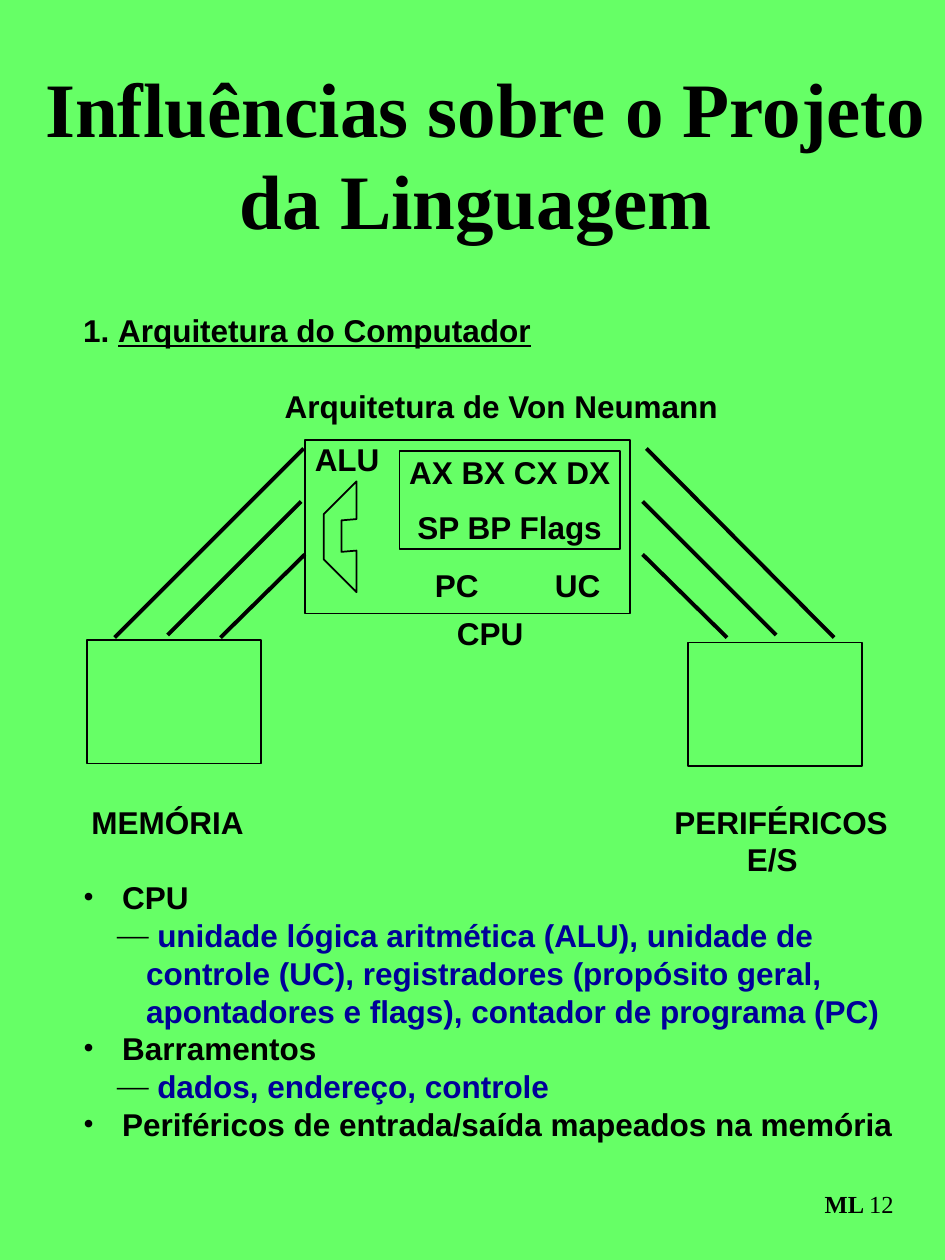
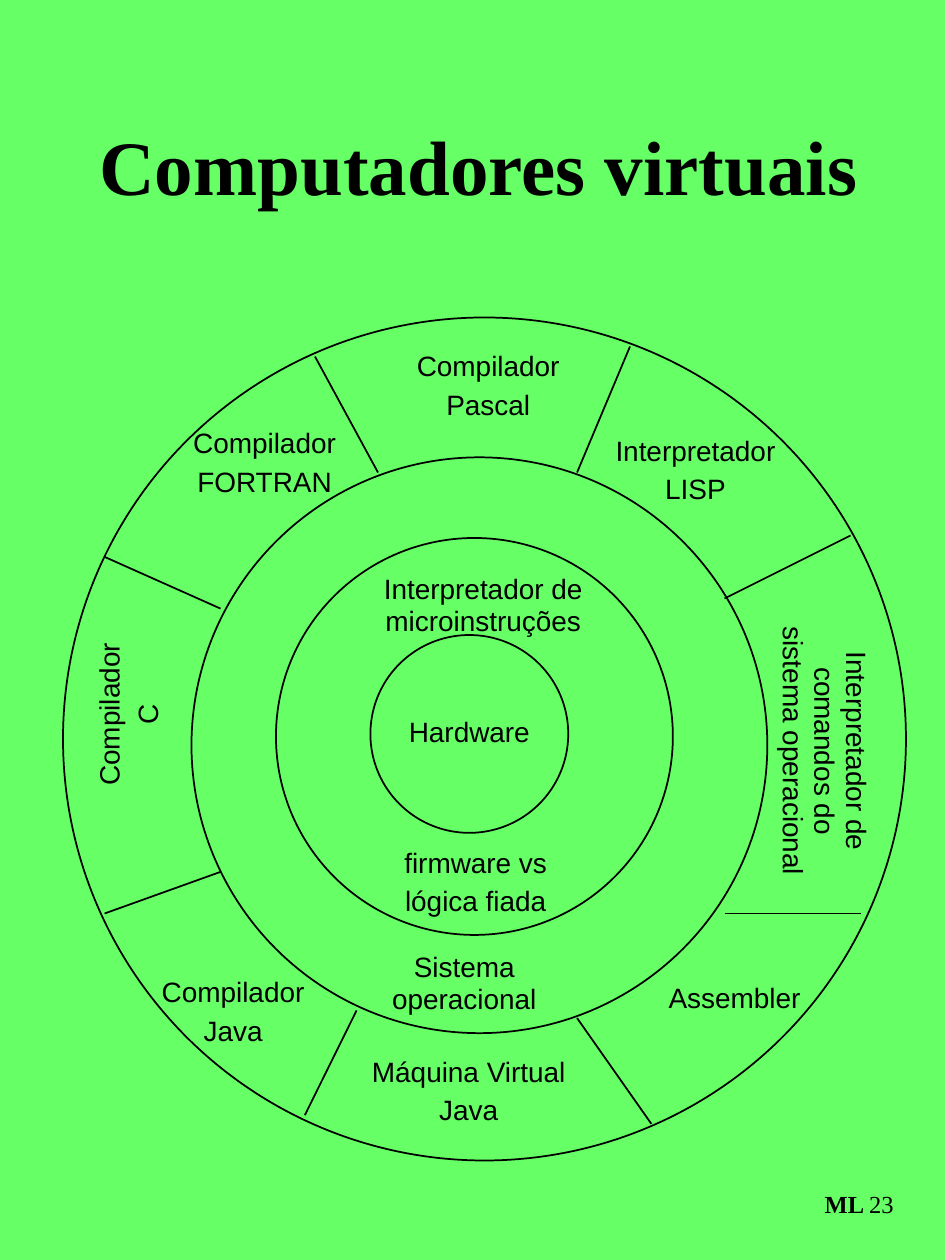
import pptx
import pptx.util
import pptx.dml.color
import pptx.enum.shapes
import pptx.enum.text
import pptx.oxml
import pptx.oxml.ns

Inches = pptx.util.Inches
Pt = pptx.util.Pt
ALIGN = pptx.enum.text.PP_ALIGN
ANCHOR = pptx.enum.text.MSO_ANCHOR
SHAPES = pptx.enum.shapes.MSO_SHAPE

COLOURS = {"background": "66FF66", "ink": "000000", "detail": "000099"}
SANS, SERIF = "Arial", "Times New Roman"
BODY_TOP, BODY_LINE = 2.45, 0.3

BUSES = [
    ((2.42, 4.4), (1.75, 5.06)), ((2.39, 3.98), (1.33, 5.04)),
    ((2.41, 3.56), (0.91, 5.06)), ((5.1, 4.4), (5.77, 5.06)),
    ((5.1, 3.98), (6.16, 5.04)), ((5.13, 3.56), (6.62, 5.06)),
]
ALU_OUTLINE = [
    (2.57, 4.08), (2.83, 3.82), (2.83, 4.12), (2.71, 4.13),
    (2.71, 4.38), (2.83, 4.37), (2.83, 4.7), (2.57, 4.44),
]
TOPICS = [
    (0, "CPU"),
    (1, "unidade lógica aritmética (ALU), unidade de controle (UC), "
        "registradores (propósito geral, apontadores e flags), "
        "contador de programa (PC)"),
    (0, "Barramentos"),
    (1, "dados, endereço, controle"),
    (0, "Periféricos de entrada/saída mapeados na memória"),
]
RINGS = [(0.5, 2.52, 6.69), (1.52, 3.63, 4.57), (2.19, 4.27, 3.15), (2.94, 5.04, 1.57)]
SPOKES = [
    ((5, 2.75), (4.58, 3.75)), ((2.5, 2.83), (3, 3.75)),
    ((0.83, 4.42), (1.75, 4.83)), ((0.83, 7.25), (1.75, 6.92)),
    ((5.75, 4.75), (6.75, 4.25)), ((5.75, 7.25), (6.83, 7.25)),
    ((2.83, 8.02), (2.42, 8.85)), ((4.58, 8.08), (5.17, 8.92)),
]
LAYER_LABELS = [
    ((3.1, 5.69, 1.25, 0.24), ["Hardware"], 0),
    ((2.96, 4.56, 1.75, 0.48), ["Interpretador de microinstruções"], 0),
    ((2.9, 6.73, 1.75, 0.54), ["firmware vs", "lógica fiada"], 0),
    ((2.81, 7.56, 1.75, 0.48), ["Sistema operacional"], 0),
    ((3.25, 2.79, 1.25, 0.54), ["Compilador", "Pascal"], 0),
    ((4.77, 3.46, 1.5, 0.54), ["Interpretador", "LISP"], 0),
    ((1.35, 3.4, 1.5, 0.54), ["Compilador", "FORTRAN"], 0),
    ((0.27, 5.4, 1.5, 0.54), ["Compilador", "C"], 270),
    ((5.51, 5.6, 2.09, 0.72), ["Interpretador de comandos do sistema operacional"], 90),
    ((5.08, 7.8, 1.5, 0.24), ["Assembler"], 0),
    ((1.1, 7.76, 1.5, 0.54), ["Compilador", "Java"], 0),
    ((2.86, 8.39, 1.72, 0.54), ["Máquina Virtual", "Java"], 0),
]


def rgb(name):
    return pptx.dml.color.RGBColor.from_string(COLOURS[name])


def inches(values):
    return [Inches(value) for value in values]


def add_run(paragraph, text, size, font=SANS, bold=True, colour="ink", underline=None):
    run = paragraph.add_run()
    run.text = text
    run.font.name = font
    run.font.size = Pt(size)
    run.font.bold = bold
    run.font.underline = underline
    run.font.color.rgb = rgb(colour)


def set_frame(shape, margins=(0, 0), anchor=ANCHOR.TOP):
    frame = shape.text_frame
    frame.word_wrap = True
    frame.vertical_anchor = anchor
    frame.margin_left = frame.margin_right = Inches(margins[0])
    frame.margin_top = frame.margin_bottom = Inches(margins[1])
    return frame


def add_frame(slide, box, margins=(0, 0), anchor=ANCHOR.TOP):
    return set_frame(slide.shapes.add_textbox(*inches(box)), margins, anchor)


def fill_label(frame, lines, size, gap, bold):
    for index, line in enumerate(lines):
        paragraph = frame.add_paragraph() if index else frame.paragraphs[0]
        paragraph.alignment = ALIGN.CENTER
        paragraph.line_spacing = 0.94
        if index:
            paragraph.space_before = Pt(gap)
        add_run(paragraph, line, size, bold=bold)


def add_register_label(slide, box, text):
    fill_label(add_frame(slide, box, (0.04, 0.04)), [text], 18, 11.2, True)


def add_layer_label(slide, box, lines, rotation):
    label = slide.shapes.add_textbox(*inches(box))
    label.rotation = rotation
    fill_label(set_frame(label), lines, 16, 4, False)


def outline(shape):
    shape.shadow.inherit = False
    shape.fill.background()
    shape.line.color.rgb = rgb("ink")
    shape.line.width = Pt(1)
    return shape


def add_outline(slide, kind, box):
    return outline(slide.shapes.add_shape(kind, *inches(box)))


def add_line(slide, start, end, width):
    line = slide.shapes.add_connector(
        pptx.enum.shapes.MSO_CONNECTOR.STRAIGHT, *inches(start + end))
    line.line.color.rgb = rgb("ink")
    line.line.width = Pt(width)
    properties = line._element.spPr
    properties.append(properties.makeelement(pptx.oxml.ns.qn("a:effectLst"), {}))


def add_alu(slide):
    builder = slide.shapes.build_freeform(*inches(ALU_OUTLINE[0]))
    builder.add_line_segments([inches(point) for point in ALU_OUTLINE[1:]], close=True)
    outline(builder.convert_to_shape())


def add_body_line(slide, row, left, width, alignment=ALIGN.CENTER):
    box = (left, BODY_TOP + row * BODY_LINE, width, 0.34)
    paragraph = add_frame(slide, box, (0.05, 0.02)).paragraphs[0]
    paragraph.alignment = alignment
    paragraph.line_spacing = Pt(21.6)
    return paragraph


def set_bullet(paragraph, mark, left, hanging):
    properties = paragraph._p.get_or_add_pPr()
    properties.set("marL", str(Inches(left)))
    properties.set("indent", str(-Inches(hanging)))
    for tag, attribute, value in (("buFont", "typeface", SERIF), ("buChar", "char", mark)):
        bullet = properties.makeelement(pptx.oxml.ns.qn("a:" + tag), {attribute: value})
        properties.append(bullet)
    colour = pptx.oxml.parse_xml(
        '<a:buClr xmlns:a="http://schemas.openxmlformats.org/drawingml/2006/main">'
        f'<a:srgbClr val="{COLOURS["ink"]}"/></a:buClr>')
    properties.insert(0, colour)


def add_topics(slide, row):
    box = (0.61, BODY_TOP + row * BODY_LINE, 6.7, 2.2)
    frame = add_frame(slide, box, (0.05, 0.02))
    for index, (level, text) in enumerate(TOPICS):
        paragraph = frame.add_paragraph() if index else frame.paragraphs[0]
        if level:
            set_bullet(paragraph, "—", 0.5, 0.23)
            add_run(paragraph, " ", 18)
        else:
            set_bullet(paragraph, "•", 0.31, 0.31)
        paragraph.level = level
        paragraph.line_spacing = Pt(21.6)
        add_run(paragraph, text, 18, colour="detail" if level else "ink")


def add_title(slide, box, lines, alignment, margins, anchor):
    paragraph = add_frame(slide, box, margins, anchor).paragraphs[0]
    paragraph.alignment = alignment
    paragraph.line_spacing = Pt(52.8)
    for index, line in enumerate(lines):
        if index:
            paragraph.add_line_break()
        add_run(paragraph, line, 44, SERIF)


def add_slide(deck, number):
    slide = deck.slides.add_slide(deck.slide_layouts[6])
    slide.background.fill.solid()
    slide.background.fill.fore_color.rgb = rgb("background")
    footer = add_frame(slide, (5.69, 9.22, 1.5, 0.67), (0.1, 0.05), ANCHOR.MIDDLE)
    paragraph = footer.paragraphs[0]
    paragraph.alignment = ALIGN.RIGHT
    add_run(paragraph, "ML ", 14, SERIF)
    add_run(paragraph, number, 14, SERIF, bold=False)
    return slide


def build_architecture(deck):
    slide = add_slide(deck, "12")
    add_title(slide, (0.3, 0.46, 7.11, 1.6),
              ["Influências sobre o Projeto", "da Linguagem "],
              ALIGN.CENTER, (0.05, 0.02), ANCHOR.TOP)
    heading = add_body_line(slide, 0, 0.61, 6.56, ALIGN.LEFT)
    add_run(heading, "1. ", 18)
    add_run(heading, "Arquitetura do Computador", 18, underline=True)
    for row, left, width, text in (
            (2, 1.98, 4, "Arquitetura de Von Neumann"), (8, 3.39, 1, "CPU"),
            (13, 0.58, 1.5, "MEMÓRIA"), (13, 5.2, 2, "PERIFÉRICOS"),
            (14, 5.63, 1, "E/S")):
        add_run(add_body_line(slide, row, left, width), text, 18)
    add_topics(slide, 15)
    for box in ((2.42, 3.49, 2.58, 1.38), (0.69, 5.08, 1.38, 0.98), (5.46, 5.1, 1.38, 0.98)):
        add_outline(slide, SHAPES.RECTANGLE, box)
    for start, end in BUSES:
        add_line(slide, start, end, 2.25)
    add_alu(slide)
    registers = add_outline(slide, SHAPES.RECTANGLE, (3.17, 3.58, 1.75, 0.78))
    fill_label(set_frame(registers, (0.04, 0.04)),
               ["AX BX CX DX", "SP BP Flags"], 18, 11.2, True)
    add_register_label(slide, (3.25, 4.48, 0.75, 0.35), "PC")
    add_register_label(slide, (4.25, 4.48, 0.67, 0.35), "UC")
    add_register_label(slide, (2.42, 3.48, 0.67, 0.35), "ALU")


def build_virtual_computers(deck):
    slide = add_slide(deck, "23")
    add_title(slide, (0.69, 0.5, 6.38, 1.61), ["Computadores virtuais"],
              ALIGN.LEFT, (0.1, 0.05), ANCHOR.MIDDLE)
    for left, top, diameter in RINGS:
        add_outline(slide, SHAPES.OVAL, (left, top, diameter, diameter))
    for start, end in SPOKES:
        add_line(slide, start, end, 1)
    for box, lines, rotation in LAYER_LABELS:
        add_layer_label(slide, box, lines, rotation)


def main():
    deck = pptx.Presentation()
    deck.slide_width, deck.slide_height = inches((7.5, 10))
    build_architecture(deck)
    build_virtual_computers(deck)
    deck.save("out.pptx")


if __name__ == "__main__":
    main()
